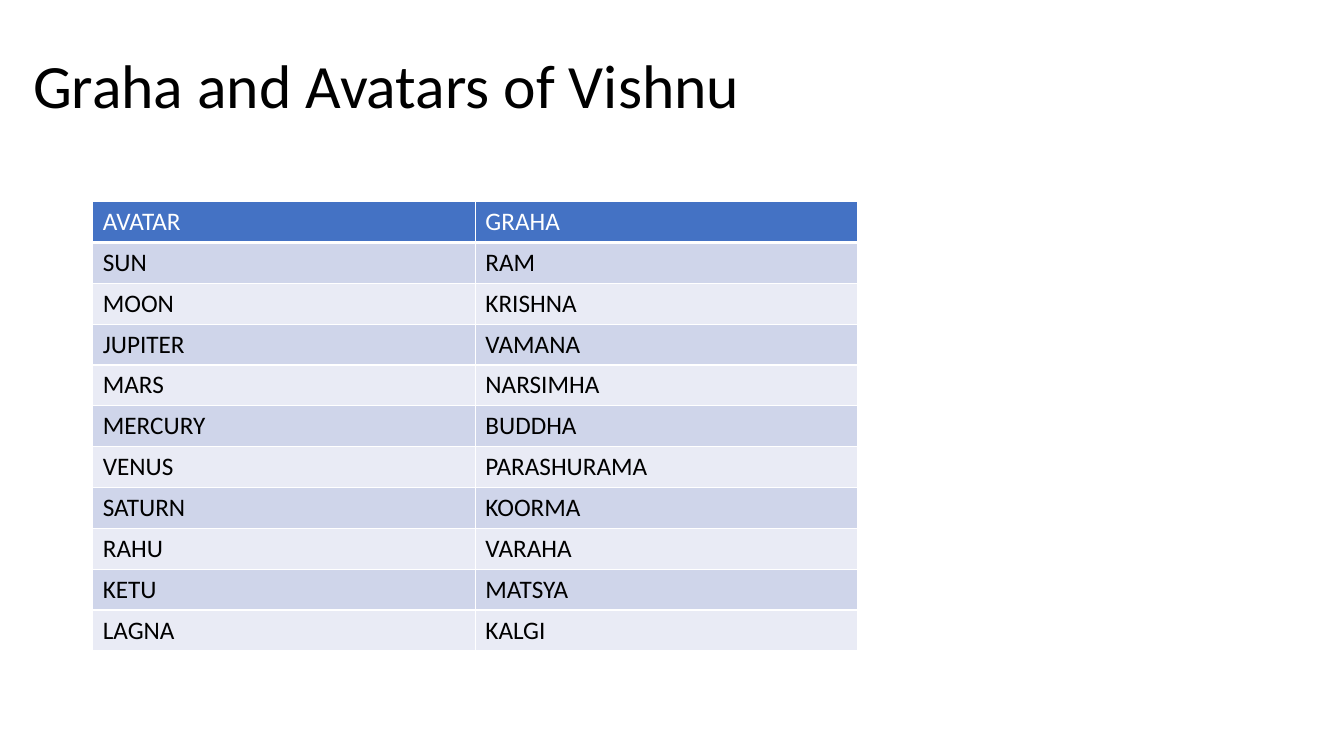
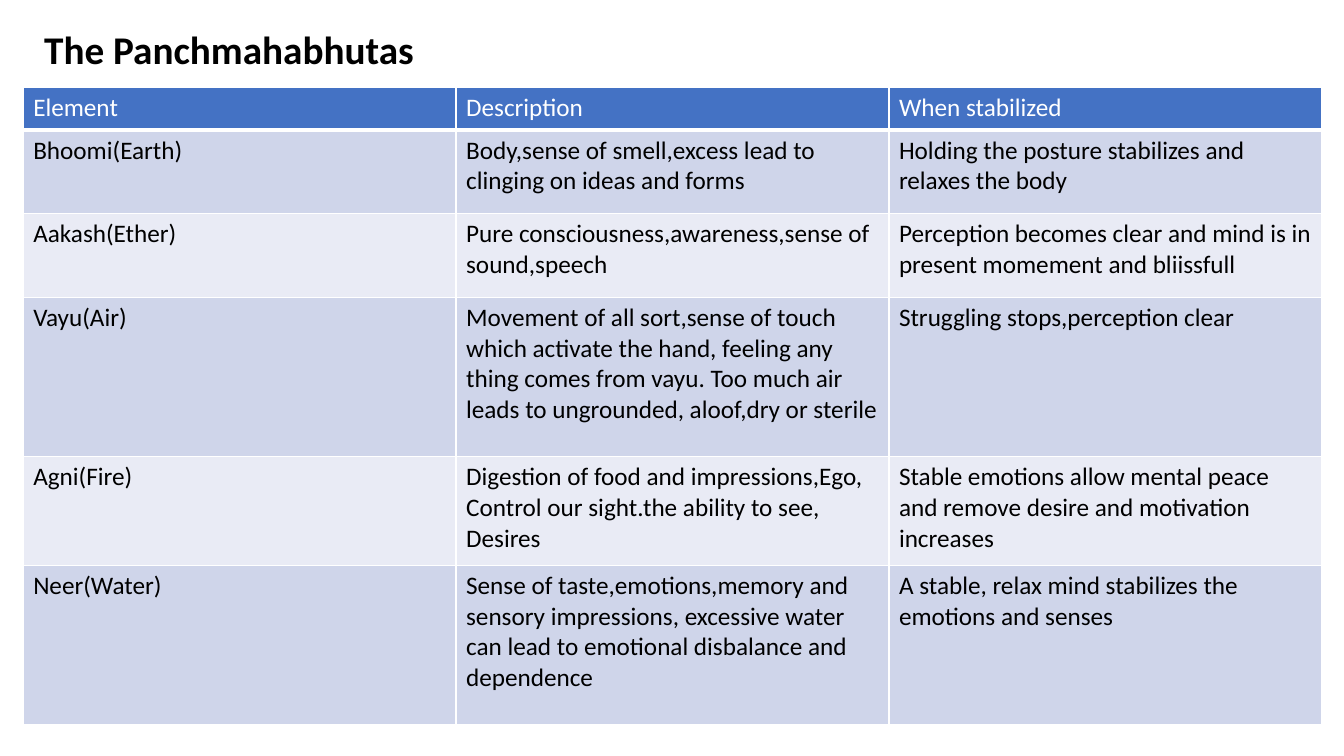
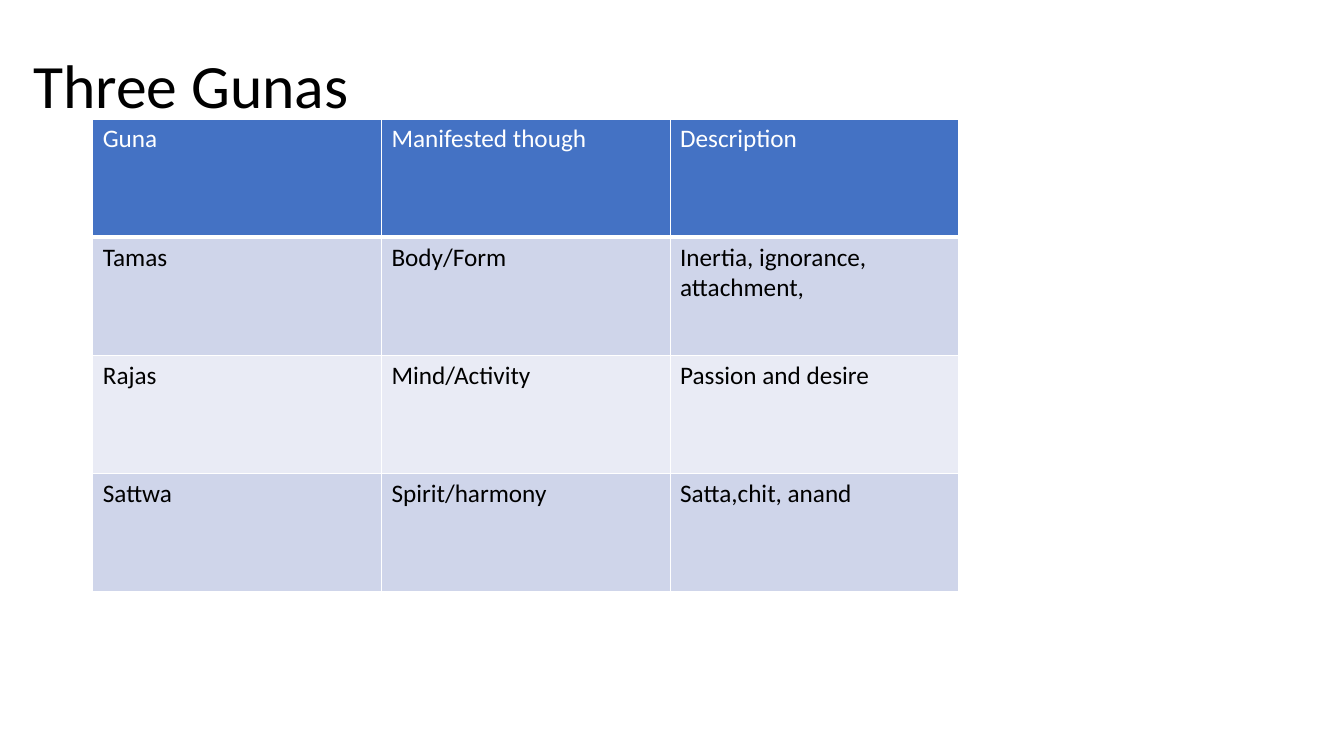
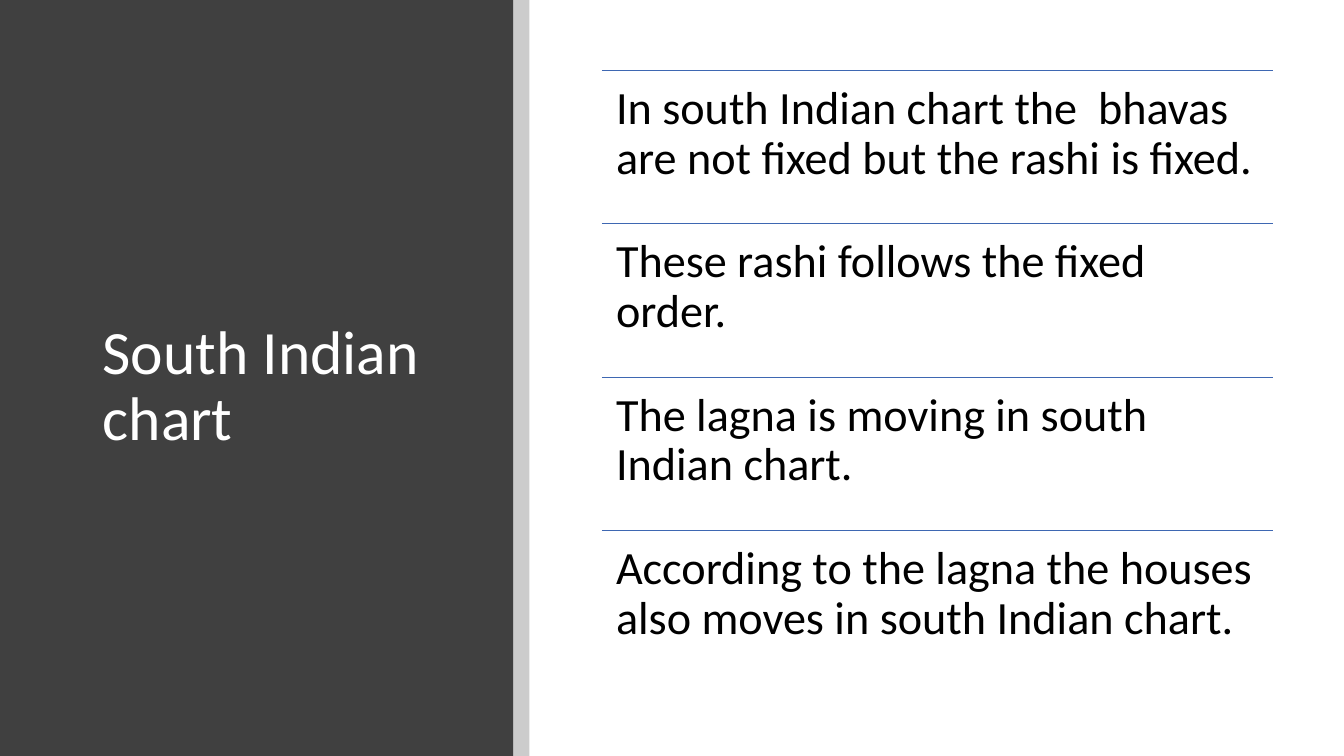
import pptx
import pptx.dml.color
import pptx.enum.shapes
import pptx.enum.text
import pptx.oxml
import pptx.oxml.ns
import pptx.util
from lxml import etree

Inches = pptx.util.Inches
Pt = pptx.util.Pt
RGBColor = pptx.dml.color.RGBColor
qn = pptx.oxml.ns.qn

# Shared style
FONT = "Calibri"
BLACK = RGBColor(0x00, 0x00, 0x00)
WHITE = RGBColor(0xFF, 0xFF, 0xFF)
HEADER_BLUE = RGBColor(0x44, 0x72, 0xC4)
BAND_DARK = RGBColor(0xCF, 0xD5, 0xEA)
BAND_LIGHT = RGBColor(0xE9, 0xEB, 0xF5)
RULE_BLUE = RGBColor(0x3E, 0x67, 0xB2)
PANEL_GREY = RGBColor(0x40, 0x40, 0x40)
SLIDE_W, SLIDE_H = 13.33, 7.5
TITLE_BOX = (0.23, 0.15, 9.59, 1.45)

# Table contents, header row first
AVATARS = [
    ("AVATAR", "GRAHA"),
    ("SUN", "RAM"),
    ("MOON", "KRISHNA"),
    ("JUPITER", "VAMANA"),
    ("MARS", "NARSIMHA"),
    ("MERCURY", "BUDDHA"),
    ("VENUS", "PARASHURAMA"),
    ("SATURN", "KOORMA"),
    ("RAHU", "VARAHA"),
    ("KETU", "MATSYA"),
    ("LAGNA", "KALGI"),
]
ELEMENTS = [
    ("Element", "Description", "When stabilized"),
    ("Bhoomi(Earth)",
     "Body,sense of smell,excess lead to clinging on ideas and forms",
     "Holding the posture stabilizes and relaxes the body"),
    ("Aakash(Ether)",
     "Pure consciousness,awareness,sense of sound,speech",
     "Perception becomes clear and mind is in present momement and bliissfull"),
    ("Vayu(Air)",
     "Movement of all sort,sense of touch which activate the hand, feeling any "
     "thing comes from vayu. Too much air leads to ungrounded, aloof,dry or sterile",
     "Struggling stops,perception clear"),
    ("Agni(Fire)",
     "Digestion of food and impressions,Ego, Control our sight.the ability to see, Desires",
     "Stable emotions allow mental peace and remove desire and motivation increases"),
    ("Neer(Water)",
     "Sense of taste,emotions,memory and sensory impressions, excessive water "
     "can lead to emotional disbalance and dependence",
     "A stable, relax mind stabilizes the emotions and senses"),
]
ELEMENT_ROWS = [0.42, 0.83, 0.83, 1.58, 1.08, 1.58]
GUNAS = [
    ("Guna", "Manifested though", "Description"),
    ("Tamas", "Body/Form", "Inertia, ignorance, attachment,"),
    ("Rajas", "Mind/Activity", "Passion and desire"),
    ("Sattwa", "Spirit/harmony", "Satta,chit, anand"),
]
CHART_POINTS = [
    "In south Indian chart the  bhavas are not fixed but the rashi is fixed.",
    "These rashi follows the fixed order.",
    "The lagna is moving in south Indian chart.",
    "According to the lagna the houses also moves in south Indian chart.",
]


def add_slide(prs):
    return prs.slides.add_slide(prs.slide_layouts[6])


def set_text(tf, text, size, color, bold=False):
    tf.text = text
    for r in tf.paragraphs[0].runs:
        r.font.name = FONT
        r.font.size = Pt(size)
        r.font.bold = bold
        r.font.color.rgb = color


def add_text(slide, box, text, size, color=BLACK, bold=False, inset=None):
    """Text box; without an inset the text is centred vertically."""
    tf = slide.shapes.add_textbox(*map(Inches, box)).text_frame
    tf.word_wrap = True
    if inset is None:
        tf.vertical_anchor = pptx.enum.text.MSO_ANCHOR.MIDDLE
    else:
        tf.margin_left = tf.margin_right = Inches(inset)
        tf.margin_top = tf.margin_bottom = Inches(inset)
    set_text(tf, text, size, color, bold)
    tf.paragraphs[0].line_spacing = 0.9


def add_title(slide, text, box=TITLE_BOX, size=44, color=BLACK, bold=False):
    add_text(slide, box, text, size, color, bold)


def set_borders(cell, bottom):
    tc_pr = cell._tc.get_or_add_tcPr()
    for side, width in (("lnL", 1), ("lnR", 1), ("lnT", 1), ("lnB", bottom)):
        ln = etree.SubElement(tc_pr, qn("a:" + side), w=str(Pt(width)))
        fill = etree.SubElement(ln, qn("a:solidFill"))
        etree.SubElement(fill, qn("a:srgbClr"), val=str(WHITE))


def add_banded_table(slide, left, top, width, row_heights, rows):
    n_cols = len(rows[0])
    table = slide.shapes.add_table(
        len(rows), n_cols, Inches(left), Inches(top),
        Inches(width), Inches(sum(row_heights))).table
    for col in table.columns:
        col.width = Inches(width / n_cols)
    for i, (height, texts) in enumerate(zip(row_heights, rows)):
        table.rows[i].height = Inches(height)
        header = i == 0
        band = HEADER_BLUE if header else BAND_DARK if i % 2 else BAND_LIGHT
        for cell, text in zip(table.rows[i].cells, texts):
            set_borders(cell, bottom=3 if header else 1)
            cell.fill.solid()
            cell.fill.fore_color.rgb = band
            set_text(cell.text_frame, text, 18, WHITE if header else BLACK)


def add_panel(slide, left, width, color, alpha=None):
    """Full-height rectangle, alpha in percent."""
    sp = slide.shapes.add_shape(
        pptx.enum.shapes.MSO_SHAPE.RECTANGLE,
        Inches(left), 0, Inches(width), Inches(SLIDE_H))
    sp.shadow.inherit = False
    sp.line.fill.background()
    sp.fill.solid()
    sp.fill.fore_color.rgb = color
    if alpha is not None:
        clr = sp.fill._xPr.find(qn("a:solidFill")).find(qn("a:srgbClr"))
        etree.SubElement(clr, qn("a:alpha"), val=str(alpha * 1000))


def add_rule(slide, left, top, width):
    line = slide.shapes.add_connector(
        pptx.enum.shapes.MSO_CONNECTOR.STRAIGHT,
        Inches(left), Inches(top), Inches(left + width), Inches(top))
    line.line.color.rgb = RULE_BLUE
    line.line.width = Pt(0.5)
    etree.SubElement(line._element.spPr, qn("a:effectLst"))


def add_ruled_list(slide, left, top, width, pitch, points):
    for i, text in enumerate(points):
        y = top + i * pitch
        add_rule(slide, left, y, width)
        add_text(slide, (left, y, width, pitch), text, 33, inset=0.14)


def main():
    prs = pptx.Presentation()
    prs.slide_width = Inches(SLIDE_W)
    prs.slide_height = Inches(SLIDE_H)

    # Graha and avatars
    slide = add_slide(prs)
    add_title(slide, "Graha and Avatars of Vishnu")
    add_banded_table(slide, 0.92, 2, 7.59, [4.46 / len(AVATARS)] * len(AVATARS), AVATARS)

    # Five elements
    slide = add_slide(prs)
    add_title(slide, "The Panchmahabhutas", (0.34, 0.15, 9.48, 0.72), 28, bold=True)
    add_banded_table(slide, 0.23, 0.87, 12.88, ELEMENT_ROWS, ELEMENTS)

    # Three gunas
    slide = add_slide(prs)
    add_title(slide, "Three Gunas")
    add_banded_table(slide, 0.92, 1.18, 8.59, [4.69 / len(GUNAS)] * len(GUNAS), GUNAS)

    # South Indian chart: dark side panel and ruled points
    slide = add_slide(prs)
    add_panel(slide, 0, 5.09, PANEL_GREY)
    add_panel(slide, 5.09, 0.16, BLACK, alpha=20)
    add_title(slide, "South Indian chart", (0.92, 0.89, 3.65, 5.91), color=WHITE)
    add_ruled_list(slide, 5.97, 0.7, 6.66, 1.52, CHART_POINTS)

    prs.save("out.pptx")


if __name__ == "__main__":
    main()
